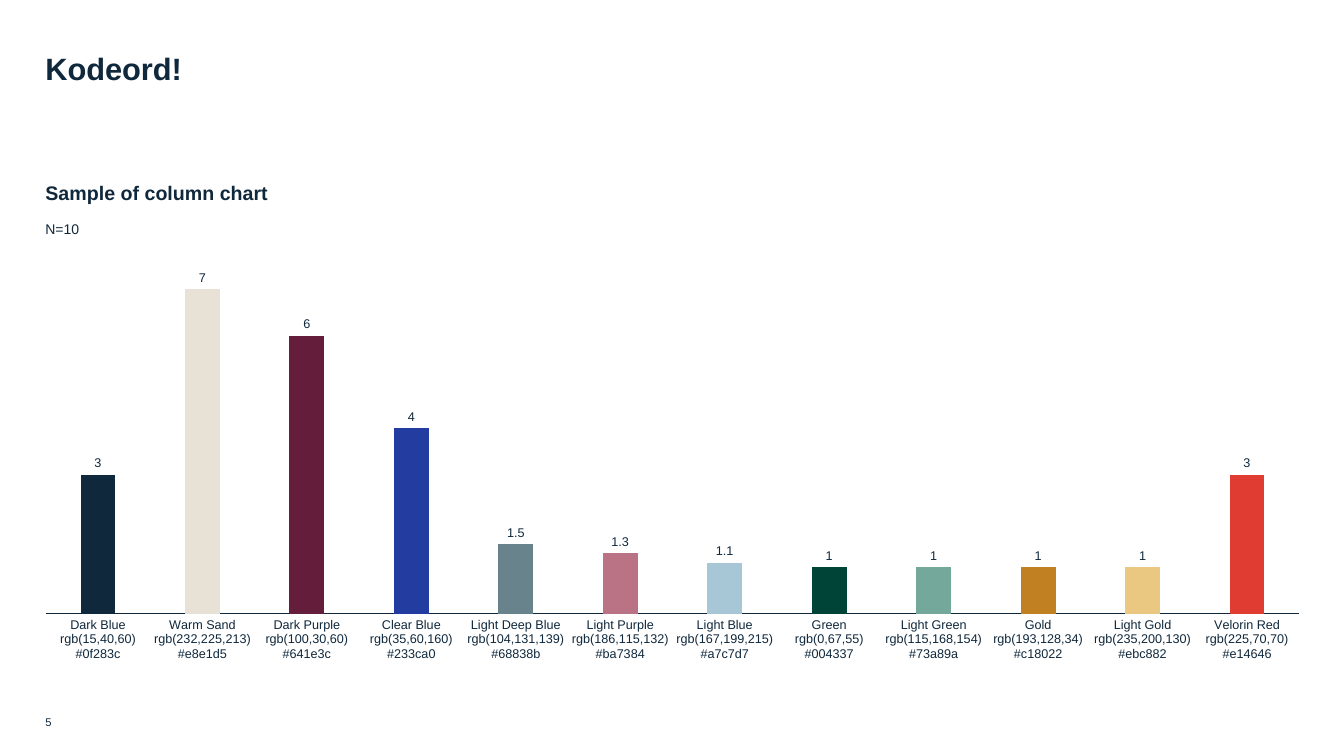
import pptx
import pptx.chart.data
import pptx.dml.color
import pptx.enum.chart
import pptx.enum.text
import pptx.oxml
import pptx.oxml.ns
import pptx.util

SLIDE_WIDTH, SLIDE_HEIGHT = 13.33, 7.5
MARGIN = 0.45
COLUMN = 12.44 / 12  # one column per bar
ROW = SLIDE_HEIGHT / 75
FONT = "Arial"

COLORS = {
    "Dark Blue": "0F283C",
    "Warm Sand": "E8E1D5",
    "Dark Purple": "641E3C",
    "Clear Blue": "233CA0",
    "Light Deep Blue": "68838B",
    "Light Purple": "BA7384",
    "Light Blue": "A7C7D7",
    "Green": "004337",
    "Light Green": "73A89A",
    "Gold": "C18022",
    "Light Gold": "EBC882",
    "Velorin Red": "E14646",
}
BAR_COLORS = {**COLORS, "Velorin Red": "E13C32"}  # the red bar differs from its label
VALUES = (3, 7, 6, 4, 1.5, 1.3, 1.1, 1, 1, 1, 1, 3)


def rgb(color):
    return pptx.dml.color.RGBColor.from_string(color)


def grid_box(row, rows, columns=12):
    """Left, top, width and height of a block that starts at the left margin."""
    lengths = (MARGIN, row * ROW, columns * COLUMN, rows * ROW)
    return [pptx.util.Inches(length) for length in lengths]


def place(part, box):
    part.left, part.top, part.width, part.height = box


def style_font(font, size, bold=False):
    font.name, font.size, font.bold = FONT, pptx.util.Pt(size), bold
    font.color.rgb = rgb(COLORS["Dark Blue"])


def write(part, text, size, bold=False, bottom=False, inset=0, spacing=1.0, after=0):
    frame = part.text_frame
    frame.text = text
    frame.word_wrap = True
    frame.auto_size = pptx.enum.text.MSO_AUTO_SIZE.NONE
    anchors = pptx.enum.text.MSO_ANCHOR
    frame.vertical_anchor = anchors.BOTTOM if bottom else anchors.TOP
    frame.margin_left = frame.margin_top = frame.margin_right = 0
    frame.margin_bottom = pptx.util.Inches(inset)
    paragraph = frame.paragraphs[0]
    paragraph.alignment = pptx.enum.text.PP_ALIGN.LEFT
    paragraph.line_spacing = spacing
    paragraph.space_before = pptx.util.Pt(0)
    paragraph.space_after = pptx.util.Pt(after)
    style_font(paragraph.runs[0].font, size, bold)


def color_label(name):
    color = COLORS[name]
    channels = ",".join(str(channel) for channel in rgb(color))
    return f"{name}\nrgb({channels})\n#{color.lower()}"


def set_plot_layout(chart, width, height):
    """Fix the inner plot area from the top left, as shares of the chart."""
    plot_area = chart.plots[0]._element.getparent()
    for layout in plot_area.findall(pptx.oxml.ns.qn("c:layout")):
        plot_area.remove(layout)
    settings = {"layoutTarget": "inner", "xMode": "edge", "yMode": "edge",
                "x": 0, "y": 0, "w": width, "h": height}
    entries = "".join(f'<c:{key} val="{value}"/>' for key, value in settings.items())
    plot_area.insert(0, pptx.oxml.parse_xml(
        f'<c:layout {pptx.oxml.ns.nsdecls("c")}>'
        f"<c:manualLayout>{entries}</c:manualLayout></c:layout>"))


def add_color_chart(slide, box):
    chart_data = pptx.chart.data.CategoryChartData()
    chart_data.categories = [color_label(name) for name in COLORS]
    chart_data.add_series("Series 1", VALUES)
    chart = slide.shapes.add_chart(
        pptx.enum.chart.XL_CHART_TYPE.COLUMN_CLUSTERED, *box, chart_data).chart
    chart.has_legend = chart.has_title = False
    style_font(chart.font, 10)
    set_plot_layout(chart, 1, 0.85)

    # Axes
    names = chart.category_axis
    names.major_tick_mark = pptx.enum.chart.XL_TICK_MARK.NONE
    names.format.line.color.rgb = rgb(COLORS["Dark Blue"])
    names.format.line.width = pptx.util.Pt(0.5)
    style_font(names.tick_labels.font, 9)
    scale = chart.value_axis
    scale.visible = scale.has_major_gridlines = False
    scale.minimum_scale, scale.maximum_scale = 0, 8

    # Bars and value labels
    bars = chart.plots[0]
    bars.gap_width, bars.overlap, bars.vary_by_categories = 200, -20, False
    bars.has_data_labels = True
    labels = bars.data_labels
    labels.show_value = True
    labels.position = pptx.enum.chart.XL_LABEL_POSITION.OUTSIDE_END
    style_font(labels.font, 9)
    for index, color in enumerate(BAR_COLORS.values()):
        fill = bars.series[0].points[index].format.fill
        fill.solid()
        fill.fore_color.rgb = rgb(color)


def main():
    deck = pptx.Presentation()
    deck.slide_width = pptx.util.Inches(SLIDE_WIDTH)
    deck.slide_height = pptx.util.Inches(SLIDE_HEIGHT)
    slide = deck.slides.add_slide(deck.slide_layouts.get_by_name("Comparison"))

    # Headings
    title = slide.shapes.title
    heading, sample_size = slide.placeholders[1], slide.placeholders[3]
    place(title, grid_box(5.3, 7))
    write(title, "Kodeord!", 22, bold=True, spacing=0.9)
    place(heading, grid_box(16, 5.1))
    write(heading, "Sample of column chart", 14, bold=True, bottom=True, inset=0.08)
    place(sample_size, grid_box(21.7, 1.6, columns=1.9))
    write(sample_size, "N=10", 10, spacing=1.1, after=6)
    for unused in (slide.placeholders[2], slide.placeholders[4]):
        unused._element.getparent().remove(unused._element)

    # Chart
    add_color_chart(slide, grid_box(24.1, 43.3))

    # Page number
    page_number = slide.shapes.add_textbox(*grid_box(70.6, 1.7, columns=0.5))
    write(page_number, "5", 8, bottom=True)

    deck.save("out.pptx")


if __name__ == "__main__":
    main()
